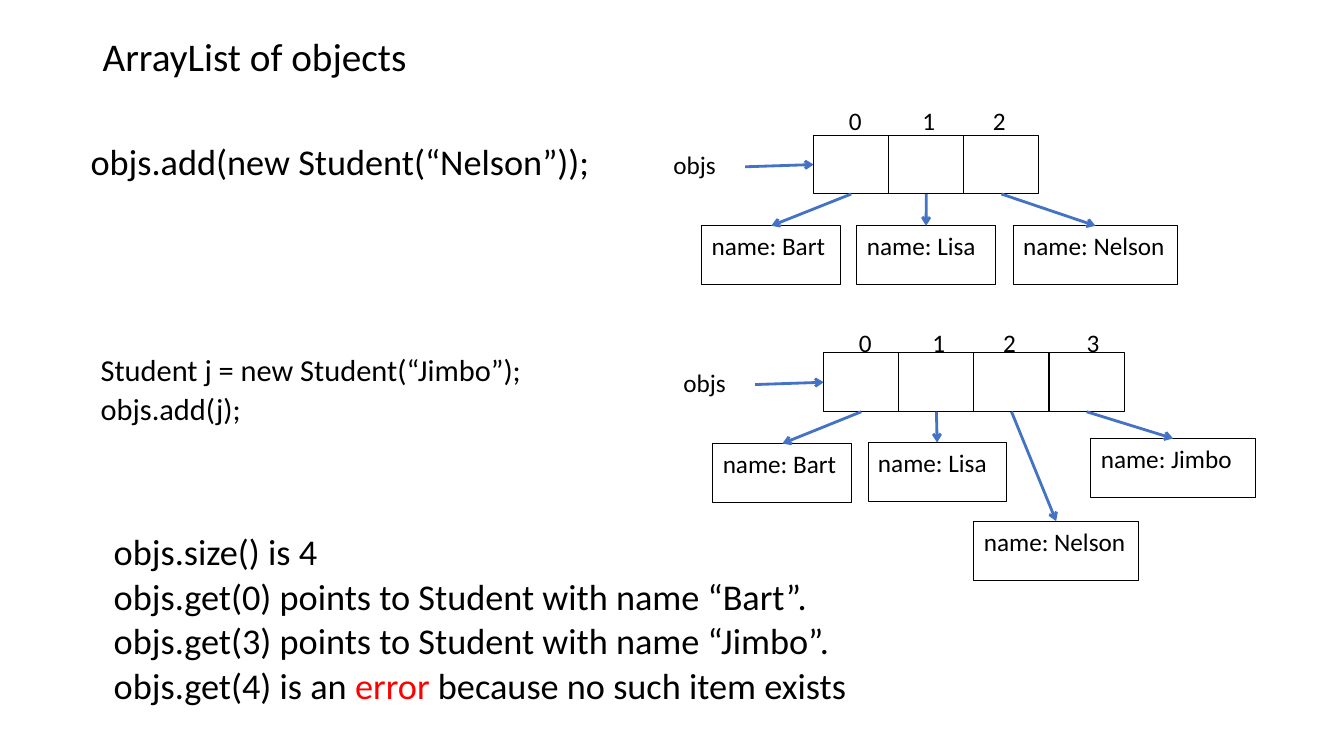
from dataclasses import dataclass

from lxml.etree import SubElement
from pptx import Presentation
from pptx.dml.color import RGBColor
from pptx.enum.shapes import MSO_CONNECTOR as Connector, MSO_SHAPE as Shape
from pptx.enum.text import MSO_ANCHOR as Anchor, PP_ALIGN as Align
from pptx.oxml.ns import qn
from pptx.util import Inches, Pt


@dataclass(frozen=True)
class Theme:
    """Colours, font and type sizes of the slide."""
    font: str = "Calibri"
    ink: RGBColor = RGBColor(0, 0, 0)
    error: RGBColor = RGBColor(255, 0, 0)
    arrow: RGBColor = RGBColor(0x44, 0x72, 0xC4)
    title: float = 28
    body: float = 25.9
    code: float = 21.7
    label: float = 18
    outline: float = 0.75
    arrow_line: float = 2


THEME = Theme()

# Each text: box (left, top, width, height), size, line spacing, paragraphs.
# A paragraph is a list of (words, colour) runs.
TEXTS = [
    ((0.92, 0.32, 4.58, 0.8), THEME.title, 0.9,
     [[("ArrayList of objects", THEME.ink)]]),
    ((0.8, 1.38, 5.47, 0.8), THEME.body, 0.9,
     [[("objs.add(new Student(“Nelson”));", THEME.ink)]]),
    ((0.9, 3.53, 5.47, 0.8), THEME.code, 0.7,
     [[("Student j = new Student(“Jimbo”);", THEME.ink)],
      [("objs.add(j);", THEME.ink)]]),
    ((1.03, 5.32, 8.63, 1.86), THEME.body, 0.7,
     [[("objs.size() is 4", THEME.ink)],
      [("objs.get(0) points to Student with name “Bart”.", THEME.ink)],
      [("objs.get(3) points to Student with name “Jimbo”.", THEME.ink)],
      [("objs.get(4) is an ", THEME.ink), ("error", THEME.error),
       (" because no such item exists", THEME.ink)]]),
]

# Each list: left and top of its first cell, lift of the index labels, and
# students as (name, left, top, width), left and top counted from that cell.
LISTS = [
    (8.07, 1.34, 0.34, [("Bart", -1.11, 0.9, 1.38), ("Lisa", 0.43, 0.9, 1.37),
                        ("Nelson", 1.98, 0.9, 1.63)]),
    (8.17, 3.5, 0.3, [("Bart", -1.1, 0.9, 1.38), ("Lisa", 0.44, 0.89, 1.37),
                      ("Nelson", 1.49, 1.67, 1.63),
                      ("Jimbo", 2.65, 0.85, 1.63)]),
]
CELL_WIDTH, BOX_HEIGHT = 0.745, 0.585
INDEX_LEFTS = (0.25, 0.98, 1.68, 2.51)
LABEL_HEIGHT = 0.4


def write(shape, paragraphs, size, spacing=1.0, before=0):
    """Fill a shape with left-aligned paragraphs of coloured runs."""
    frame = shape.text_frame
    frame.word_wrap = True
    frame.vertical_anchor = Anchor.TOP
    for number, runs in enumerate(paragraphs):
        paragraph = frame.add_paragraph() if number else frame.paragraphs[0]
        paragraph.alignment = Align.LEFT
        paragraph.line_spacing = spacing
        paragraph.space_before = Pt(before)
        paragraph.font.name, paragraph.font.size = THEME.font, Pt(size)
        for words, colour in runs:
            run = paragraph.add_run()
            run.text = words
            run.font.color.rgb = colour


def add_text(slide, box, paragraphs, size, spacing=1.0, before=0):
    """Add a text box at the given place in inches."""
    shape = slide.shapes.add_textbox(*map(Inches, box))
    write(shape, paragraphs, size, spacing, before)


def add_label(slide, words, left, top, width):
    """Add a short label beside or above a list."""
    add_text(slide, (left, top, width, LABEL_HEIGHT),
             [[(words, THEME.ink)]], THEME.label)


def add_box(slide, left, top, width, words=""):
    """Add an outlined, unfilled box with optional words."""
    shape = slide.shapes.add_shape(
        Shape.RECTANGLE, *map(Inches, (left, top, width, BOX_HEIGHT)))
    shape.shadow.inherit = False
    shape.fill.background()
    shape.line.color.rgb = THEME.ink
    shape.line.width = Pt(THEME.outline)
    if words:
        write(shape, [[(words, THEME.ink)]], THEME.label)


def add_arrow(slide, start, end):
    """Add a straight arrow between two points."""
    arrow = slide.shapes.add_connector(
        Connector.STRAIGHT, *map(Inches, (*start, *end)))
    arrow.line.color.rgb = THEME.arrow
    arrow.line.width = Pt(THEME.arrow_line)
    SubElement(arrow.line._get_or_add_ln(), qn("a:tailEnd"), type="arrow")
    SubElement(arrow._element.spPr, qn("a:effectLst"))


def add_list(slide, left, top, lift, students):
    """Draw the objs reference, its indexed cells and their students."""
    add_label(slide, "objs", left - 1.49, top + 0.09, 0.84)
    add_arrow(slide, (left - 0.68, top + 0.315), (left, top + BOX_HEIGHT / 2))
    for index, (name, shift, drop, width) in enumerate(students):
        cell_left = left + index * CELL_WIDTH
        box_left, box_top = left + shift, top + drop
        add_box(slide, cell_left, top, CELL_WIDTH)
        add_label(slide, str(index), left + INDEX_LEFTS[index],
                  top - lift, 0.36)
        add_box(slide, box_left, box_top, width, f"name: {name}")
        add_arrow(slide, (cell_left + CELL_WIDTH / 2, top + BOX_HEIGHT),
                  (box_left + width / 2, box_top))


presentation = Presentation()
presentation.slide_width, presentation.slide_height = Inches(13.33), Inches(7.5)
slide = presentation.slides.add_slide(presentation.slide_layouts[6])
for box, size, spacing, paragraphs in TEXTS:
    add_text(slide, box, paragraphs, size, spacing, before=10)
for object_list in LISTS:
    add_list(slide, *object_list)
presentation.save("out.pptx")
